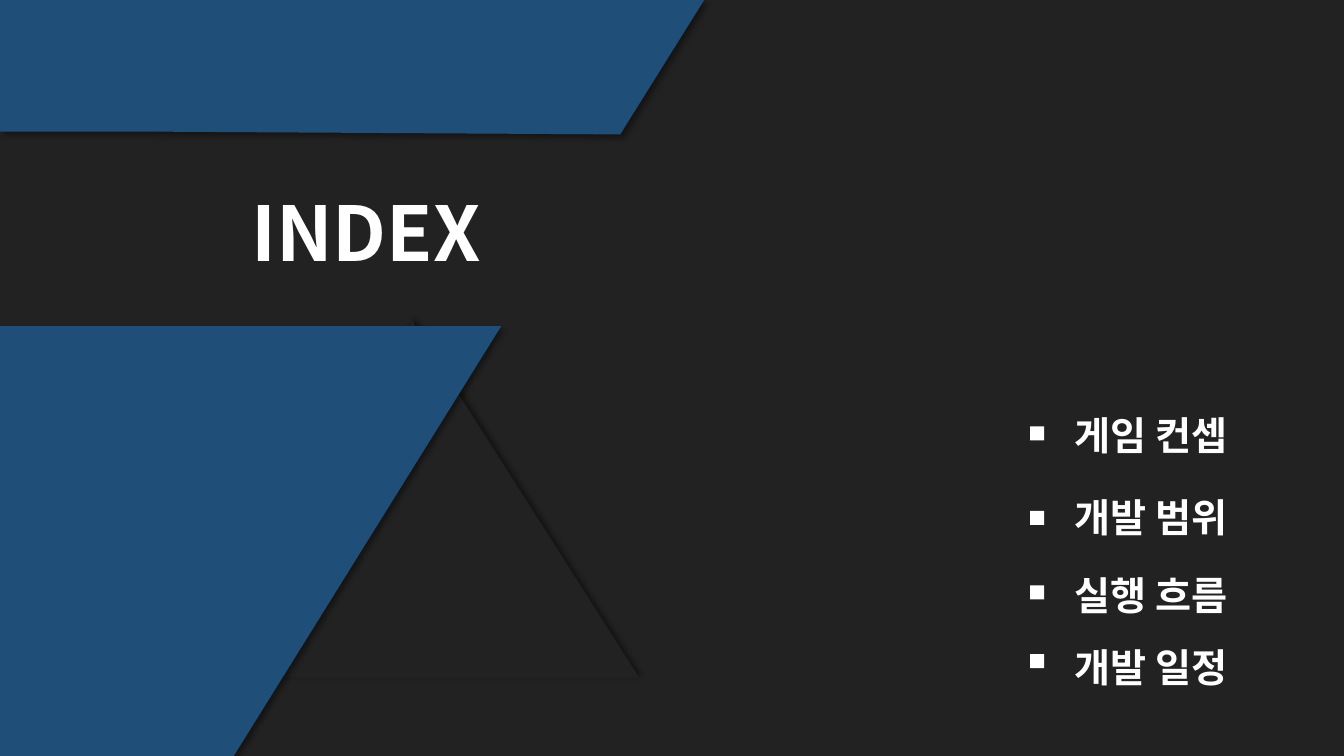
import pptx
import pptx.dml.color
import pptx.enum.shapes
import pptx.enum.text
import pptx.oxml
import pptx.oxml.ns
import pptx.util
from dataclasses import dataclass

Pt = pptx.util.Pt
Shapes = pptx.enum.shapes.MSO_SHAPE
Align = pptx.enum.text.PP_ALIGN


@dataclass(frozen=True)
class Theme:
    background: str = "222222"
    accent: str = "1F4E79"
    text: str = "FFFFFF"
    shadow: str = "000000"
    font: str = "Noto Sans CJK KR"
    title_size: int = 54
    item_size: int = 28


class SlideBuilder:
    def __init__(self, theme, slide):
        self.theme = theme
        self.slide = slide
        self.paint(slide.background.fill, theme.background)

    def paint(self, fill, color):
        fill.solid()
        fill.fore_color.rgb = pptx.dml.color.RGBColor.from_string(color)

    def finish(self, shape, color, shadow_angle=None):
        """Fill a shape without outline; cast a soft shadow if an angle is given."""
        self.paint(shape.fill, color)
        shape.line.fill.background()
        shape.shadow.inherit = False
        if shadow_angle is not None:
            effects = shape.element.spPr.find(pptx.oxml.ns.qn("a:effectLst"))
            effects.append(pptx.oxml.parse_xml(
                f'<a:outerShdw {pptx.oxml.ns.nsdecls("a")} blurRad="{Pt(4)}" '
                f'dist="{Pt(3)}" dir="{shadow_angle * 60000}" algn="ctr" rotWithShape="0">'
                f'<a:srgbClr val="{self.theme.shadow}"><a:alpha val="40000"/></a:srgbClr>'
                '</a:outerShdw>'))

    def preset(self, kind, left, top, width, height, color, shadow_angle=None):
        shape = self.slide.shapes.add_shape(
            kind, Pt(left), Pt(top), Pt(width), Pt(height))
        self.finish(shape, color, shadow_angle)

    def polygon(self, points, color, shadow_angle):
        outline = self.slide.shapes.build_freeform(*points[0], scale=Pt(1))
        outline.add_line_segments(points[1:], close=True)
        self.finish(outline.convert_to_shape(), color, shadow_angle)

    def label(self, text, left, top, width, height, size, wrap=True, align=Align.LEFT):
        box = self.slide.shapes.add_textbox(Pt(left), Pt(top), Pt(width), Pt(height))
        frame = box.text_frame
        frame.word_wrap = wrap
        frame.auto_size = pptx.enum.text.MSO_AUTO_SIZE.SHAPE_TO_FIT_TEXT
        para = frame.paragraphs[0]
        para.alignment = align
        span = para.add_run()
        span.text = text
        formats = {"size": Pt(size), "bold": True, "name": self.theme.font}
        for name, value in formats.items():
            setattr(span.font, name, value)
        self.paint(span.font.fill, self.theme.text)
        # Korean text takes its typeface from the East Asian font
        latin = span.font._element.find(pptx.oxml.ns.qn("a:latin"))
        latin.addnext(pptx.oxml.parse_xml(
            f'<a:ea {pptx.oxml.ns.nsdecls("a")} typeface="{self.theme.font}"/>'))


def main():
    deck = pptx.Presentation()
    deck.slide_width, deck.slide_height = Pt(960), Pt(540)
    theme = Theme()
    page = SlideBuilder(theme, deck.slides.add_slide(deck.slide_layouts[6]))

    page.preset(Shapes.ISOSCELES_TRIANGLE, 132.5, 229.7, 324, 254.2,
                theme.background, shadow_angle=315)
    top_band = [(0, 0), (502.6, 0), (443, 95.6), (105, 94.3), (0, 94.3)]
    lower_band = [(0, 233.2), (358.4, 232.6), (167, 540), (0, 540)]
    for band in (top_band, lower_band):
        page.polygon(band, theme.accent, shadow_angle=45)

    page.label("INDEX", 170.6, 128.9, 181.4, 72.7, theme.title_size,
               wrap=False, align=Align.CENTER)

    # Item text, top of its square marker, top of its text box
    items = [
        ("게임 컨셉", 304.6, 290.2),
        ("개발 범위", 365, 348.5),
        ("실행 흐름", 418.1, 404.6),
        ("개발 일정", 467.3, 455.8),
    ]
    for text, marker_top, text_top in items:
        page.preset(Shapes.RECTANGLE, 735.8, marker_top, 10, 10, theme.text)
        page.label(text, 760.3, text_top, 139.7, 41, theme.item_size)

    deck.save("out.pptx")


if __name__ == "__main__":
    main()
